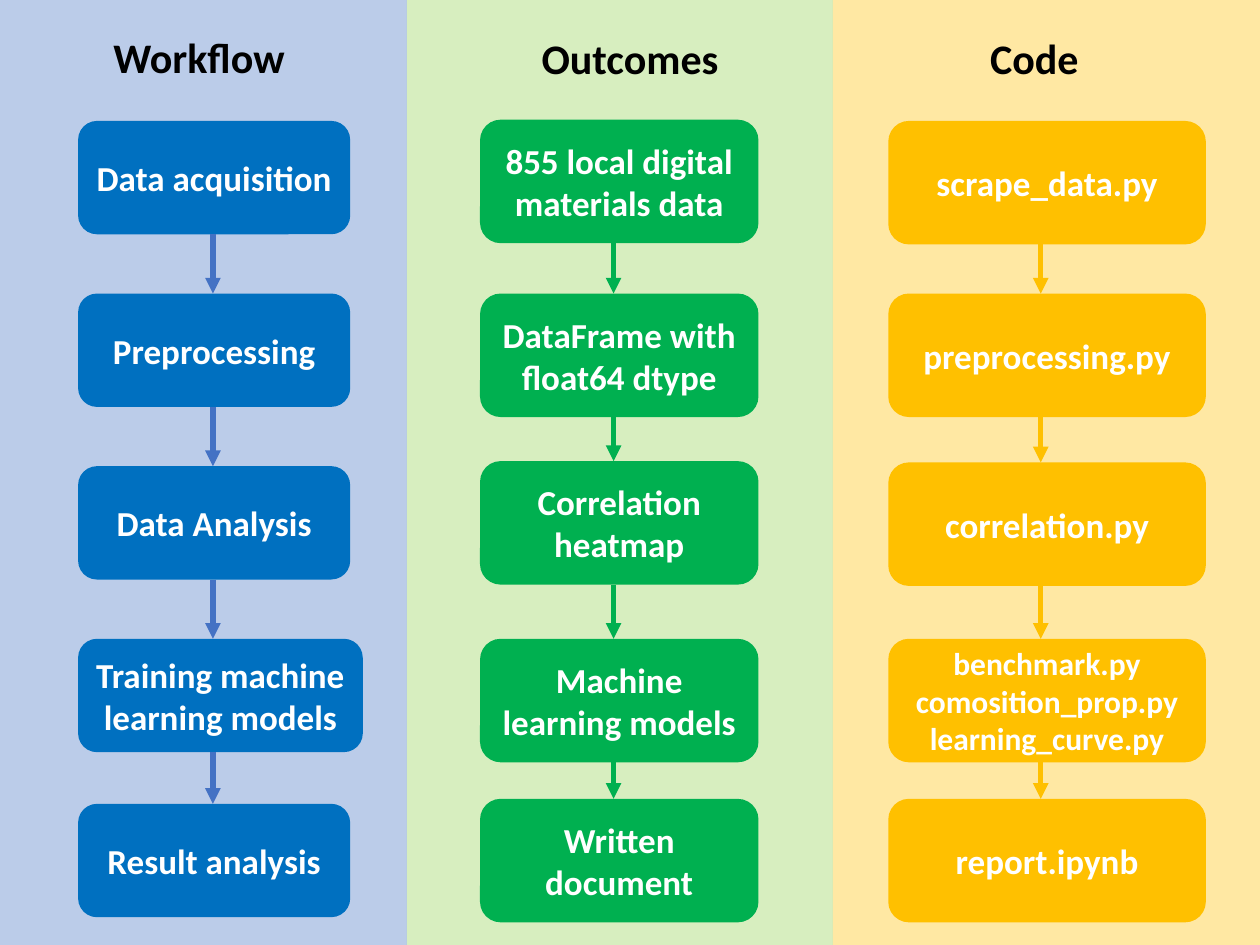
from lxml.etree import SubElement
from pptx import Presentation
from pptx.dml.color import RGBColor
from pptx.enum.shapes import MSO_CONNECTOR as Connector, MSO_SHAPE as Shape
from pptx.enum.text import MSO_ANCHOR as Anchor, MSO_AUTO_SIZE as AutoSize, PP_ALIGN as Align
from pptx.oxml.ns import qn
from pptx.util import Inches, Pt

THEME = {
    "font": "Calibri", "heading_size": 24, "box_size": 20, "small_size": 18,
    "heading": "000000", "box_text": "FFFFFF", "band_alpha": 36, "arrow_width": 3,
}
WIDTH, HEIGHT = 10, 7.5
WIDE_BOX = 2.26

# band: left, right; heading: left, top, width; boxes: left, width, height
COLUMNS = [
    {"title": "Workflow", "band": (0, 3.23), "heading": (0.71, 0.2, 1.74),
     "band_color": "4472C4", "box_color": "0070C0", "arrow_color": "4472C4",
     "box": (0.62, 2.16, 0.9), "arrow_x": 1.69, "tops": (0.96, 2.33, 3.7, 5.07, 6.38),
     "steps": ["Data acquisition", "Preprocessing", "Data Analysis",
               "Training machine learning models", "Result analysis"]},
    {"title": "Outcomes", "band": (3.23, 6.61), "heading": (4.13, 0.21, 1.74),
     "band_color": "92D050", "box_color": "00B050", "arrow_color": "00B050",
     "box": (3.81, 2.21, 0.98), "arrow_x": 4.87, "tops": (0.95, 2.33, 3.66, 5.07, 6.34),
     "steps": ["855 local digital materials data", "DataFrame with float64 dtype",
               "Correlation heatmap", "Machine learning models", "Written document"]},
    {"title": "Code", "band": (6.61, WIDTH), "heading": (7.63, 0.21, 1.16),
     "band_color": "FFC000", "box_color": "FFC000", "arrow_color": "FFC000",
     "box": (7.05, 2.52, 0.98), "arrow_x": 8.26, "tops": (0.96, 2.33, 3.67, 5.07, 6.34),
     "steps": ["scrape_data.py", "preprocessing.py", "correlation.py",
               "benchmark.py\ncomosition_prop.py\nlearning_curve.py", "report.ipynb"]},
]


def write(frame, text, size, color):
    """Write centred bold text, one paragraph per line."""
    frame.word_wrap = True
    for index, line in enumerate(text.split("\n")):
        para = frame.add_paragraph() if index else frame.paragraphs[0]
        para.alignment = Align.CENTER
        span = para.add_run()
        span.text = line
        span.font.name = THEME["font"]
        span.font.size = Pt(size)
        span.font.bold = True
        span.font.color.rgb = RGBColor.from_string(color)


def add_block(page, kind, bounds, color):
    """Add a flat filled shape without outline."""
    block = page.shapes.add_shape(kind, *map(Inches, bounds))
    block.shadow.inherit = False
    block.fill.solid()
    block.fill.fore_color.rgb = RGBColor.from_string(color)
    block.line.fill.background()
    return block


def add_band(page, column):
    """Add the translucent background band of a column."""
    left, right = column["band"]
    band = add_block(page, Shape.RECTANGLE, (left, 0, right - left, HEIGHT),
                     column["band_color"])
    tint = band.fill._xPr.find(".//" + qn("a:srgbClr"))
    SubElement(tint, qn("a:alpha"), val=str(THEME["band_alpha"] * 1000))


def add_heading(page, column):
    """Add the heading of a column."""
    left, top, width = column["heading"]
    box = page.shapes.add_textbox(*map(Inches, (left, top, width, 0.5)))
    write(box.text_frame, column["title"], THEME["heading_size"], THEME["heading"])
    box.text_frame.auto_size = AutoSize.SHAPE_TO_FIT_TEXT


def add_step(page, bounds, text, color):
    """Add one rounded step box."""
    frame = add_block(page, Shape.ROUNDED_RECTANGLE, bounds, color).text_frame
    frame.vertical_anchor = Anchor.MIDDLE
    frame.margin_left = frame.margin_right = Inches(0.07)
    frame.margin_top = frame.margin_bottom = Inches(0.04)
    size = THEME["small_size"] if "\n" in text else THEME["box_size"]
    write(frame, text, size, THEME["box_text"])


def add_arrow(page, x, start, end, color):
    """Add a downward arrow between two steps."""
    arrow = page.shapes.add_connector(Connector.STRAIGHT, *map(Inches, (x, start, x, end)))
    arrow.line.color.rgb = RGBColor.from_string(color)
    arrow.line.width = Pt(THEME["arrow_width"])
    SubElement(arrow.line._get_or_add_ln(), qn("a:tailEnd"), type="triangle")
    SubElement(arrow._element.spPr, qn("a:effectLst"))


def add_flow(page, column):
    """Add the steps of a column and the arrows that join them."""
    left, width, height = column["box"]
    tops = column["tops"]
    for top, text in zip(tops, column["steps"]):
        step_width = WIDE_BOX if text.startswith("Training") else width
        add_step(page, (left, top, step_width, height), text, column["box_color"])
    for top, next_top in zip(tops, tops[1:]):
        add_arrow(page, column["arrow_x"], top + height, next_top, column["arrow_color"])


deck = Presentation()
deck.slide_width, deck.slide_height = Inches(WIDTH), Inches(HEIGHT)
page = deck.slides.add_slide(deck.slide_layouts[6])
for add_part in (add_band, add_heading, add_flow):
    for column in COLUMNS:
        add_part(page, column)
deck.save("out.pptx")
